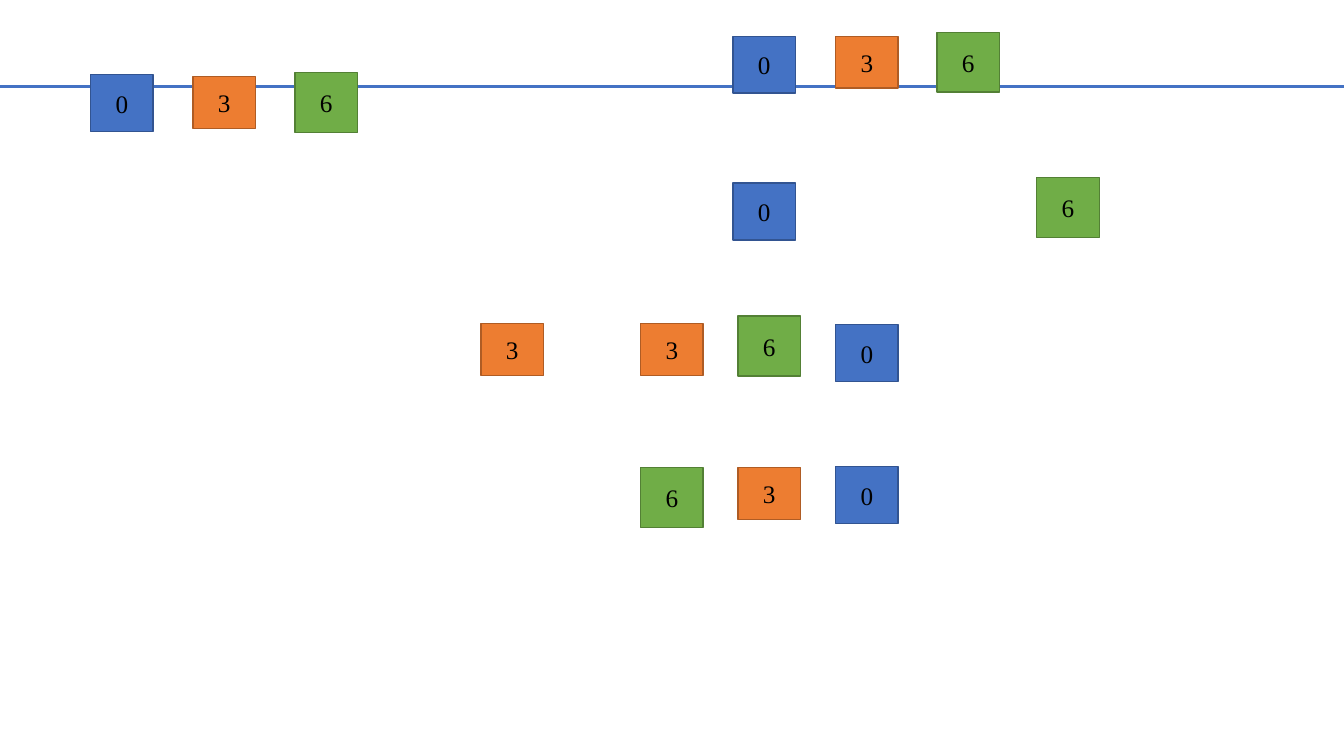
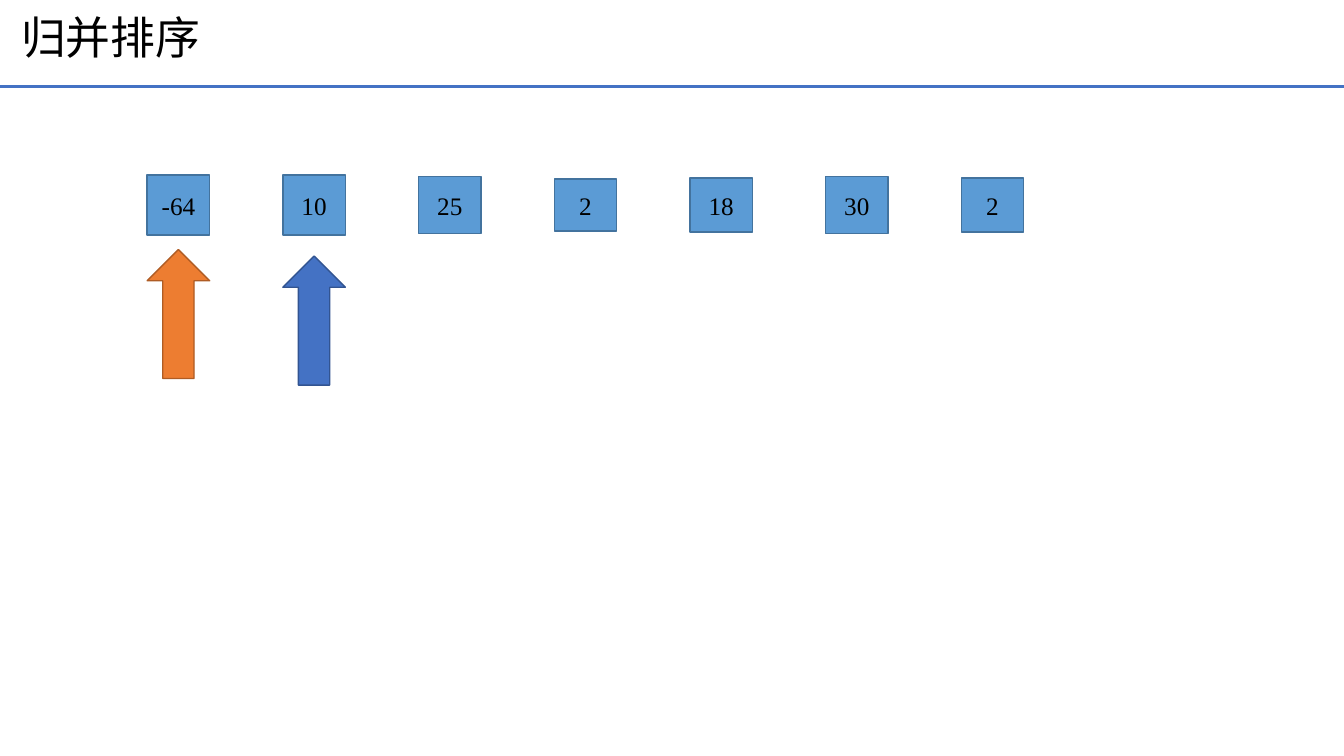
from lxml import etree
from pptx import Presentation
from pptx.dml.color import RGBColor
from pptx.enum.shapes import MSO_CONNECTOR, MSO_SHAPE
from pptx.enum.text import MSO_ANCHOR, MSO_AUTO_SIZE, PP_ALIGN
from pptx.oxml.ns import qn
from pptx.util import Inches, Pt

STRAIGHT = MSO_CONNECTOR.STRAIGHT
BOX, UP_ARROW = MSO_SHAPE.RECTANGLE, MSO_SHAPE.UP_ARROW
MIDDLE, NO_FIT = MSO_ANCHOR.MIDDLE, MSO_AUTO_SIZE.NONE
LEFT, CENTER = PP_ALIGN.LEFT, PP_ALIGN.CENTER

COLUMNS, ROWS, CELL = 133.33, 75, 0.1
TITLE_ONLY, BLANK = 5, 6
FONT, BLACK = "Times New Roman", "000000"
BLUE, ORANGE = ("4472C4", "325491"), ("ED7D31", "AF5C24")
GREEN, SKY = ("70AD47", "538035"), ("5B9BD5", "43739E")
KEY_WIDTH = 6.2


def color(code):
    """Turn a hex string into a colour."""
    return RGBColor.from_string(code)


def grid(*cells):
    """Turn counts of grid cells into lengths."""
    return [Inches(count * CELL) for count in cells]


def write(frame, text, size=18, align=CENTER, spacing=1.0):
    """Write one formatted, vertically centred paragraph."""
    frame.word_wrap = True
    frame.auto_size = NO_FIT
    frame.vertical_anchor = MIDDLE
    paragraph = frame.paragraphs[0]
    paragraph.alignment = align
    paragraph.line_spacing = spacing
    run = paragraph.add_run()
    run.text = text
    run.font.name = FONT
    run.font.size = Pt(size)
    run.font.color.rgb = color(BLACK)


class Deck:
    """Hold the shared style and the current slide."""

    def __init__(self):
        """Start an empty widescreen presentation."""
        self.show = Presentation()
        self.show.slide_width, self.show.slide_height = grid(COLUMNS, ROWS)
        self.slide = None

    def new_slide(self, title=None):
        """Add a slide with the header rule and an optional title."""
        layout = self.show.slide_layouts[TITLE_ONLY if title else BLANK]
        self.slide = self.show.slides.add_slide(layout)
        self.rule(8.6)
        if title:
            heading = self.slide.shapes.title
            heading.left, heading.top, heading.width, heading.height = grid(1.1, 0.5, 132.2, 6.9)
            write(heading.text_frame, title, size=32, align=LEFT, spacing=0.9)

    def rule(self, row):
        """Draw a line across the slide."""
        line = self.slide.shapes.add_connector(STRAIGHT, *grid(0, row, COLUMNS, row))
        line.line.color.rgb = color(BLUE[0])
        line.line.width = Pt(2.25)
        etree.SubElement(line.element.spPr, qn("a:effectLst"))

    def block(self, kind, column, row, height, paint):
        """Draw a filled shape one key wide."""
        shape = self.slide.shapes.add_shape(kind, *grid(column, row, KEY_WIDTH, height))
        shape.shadow.inherit = False
        fill, edge = paint
        shape.fill.solid()
        shape.fill.fore_color.rgb = color(fill)
        shape.line.color.rgb = color(edge)
        shape.line.width = Pt(1)
        return shape

    def key(self, text, column, row, height, paint):
        """Draw a box holding a number."""
        write(self.block(BOX, column, row, height, paint).text_frame, text)

    def pointer(self, column, row, paint):
        """Draw an arrow pointing up at a key."""
        self.block(UP_ARROW, column, row, 12.8, paint)


KEY_STYLES = {"0": (5.65, BLUE), "3": (5.15, ORANGE), "6": (5.95, GREEN)}
ARRANGEMENTS = [
    [("0", 9, 7.4), ("3", 19.15, 7.6), ("6", 29.25, 7.2)],
    [("0", 72.7, 3.6), ("3", 82.9, 3.6), ("6", 92.95, 3.2)],
    [("0", 72.7, 18.15), ("6", 102.85, 17.6)],
    [("3", 47.7, 32.1), ("3", 63.55, 32.1), ("6", 73.2, 31.35), ("0", 82.9, 32.2)],
    [("6", 63.55, 46.4), ("3", 73.2, 46.4), ("0", 82.9, 46.3)],
]
ARRAY = [("-64", 5.95), ("10", 5.95), ("25", 5.65), ("2", 5.15),
         ("18", 5.35), ("30", 5.65), ("2", 5.35)]
ARRAY_LEFT, ARRAY_STEP, ARRAY_MIDDLE = 14.6, 13.46, 20.35
POINTERS = [(24.75, ORANGE), (25.4, BLUE)]

deck = Deck()

deck.new_slide()
for arrangement in ARRANGEMENTS:
    for digit, column, row in arrangement:
        deck.key(digit, column, row, *KEY_STYLES[digit])

deck.new_slide("归并排序")
for index, (number, height) in enumerate(ARRAY):
    deck.key(number, ARRAY_LEFT + index * ARRAY_STEP, ARRAY_MIDDLE - height / 2, height, SKY)
for index, (row, paint) in enumerate(POINTERS):
    deck.pointer(ARRAY_LEFT + index * ARRAY_STEP, row, paint)

deck.show.save("out.pptx")
